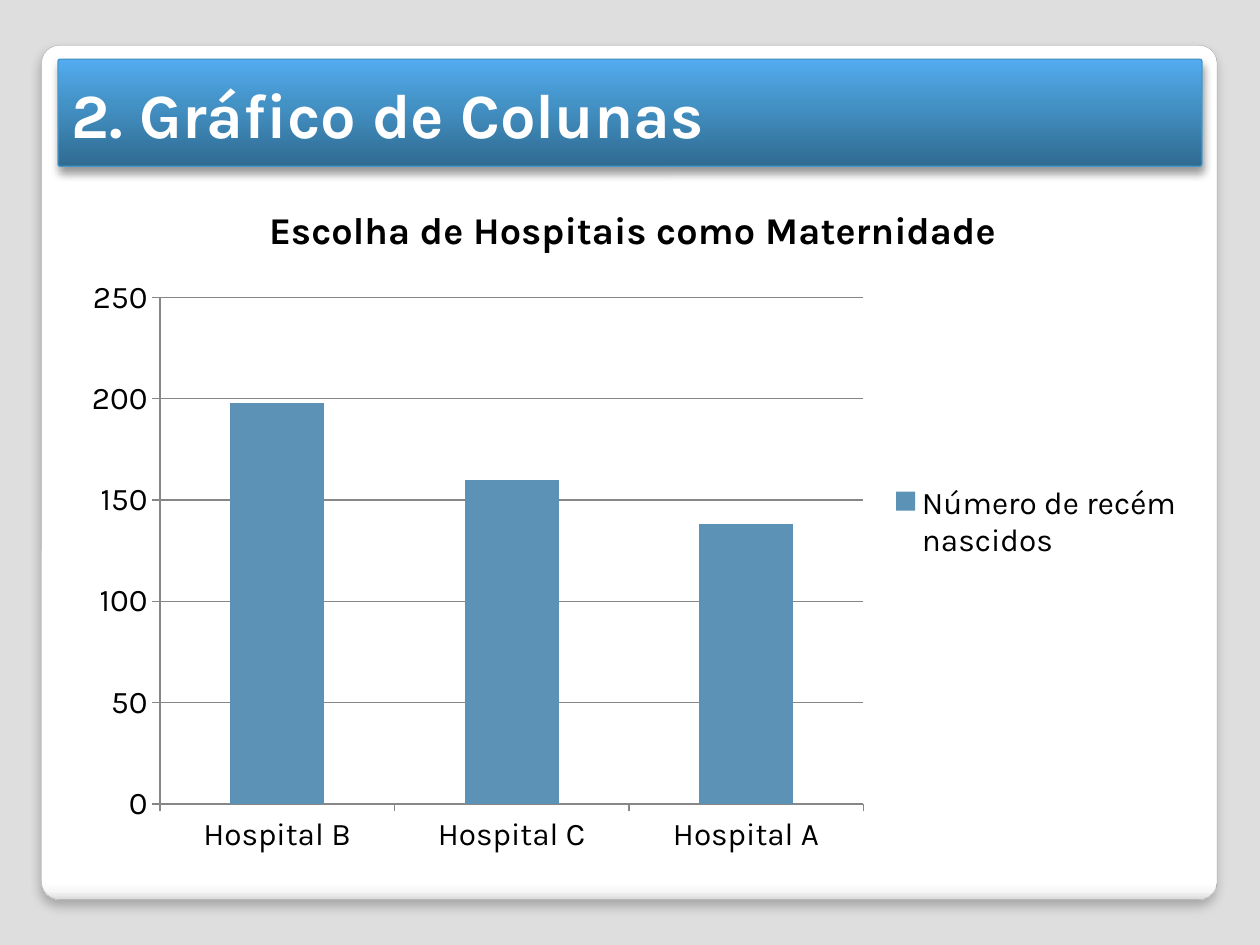
"""Build a slide with a banner title and a column chart of hospital births."""
from pptx import Presentation
from pptx.chart.data import CategoryChartData
from pptx.dml.color import RGBColor
from pptx.enum.chart import XL_CHART_TYPE, XL_LEGEND_POSITION, XL_TICK_MARK
from pptx.enum.shapes import MSO_SHAPE
from pptx.enum.text import MSO_ANCHOR, PP_ALIGN
from pptx.oxml import parse_xml
from pptx.oxml.ns import nsdecls, qn
from pptx.util import Inches, Pt

COLUMNS = XL_CHART_TYPE.COLUMN_CLUSTERED
RIGHT = XL_LEGEND_POSITION.RIGHT
OUT = XL_TICK_MARK.OUTSIDE
ROUND = MSO_SHAPE.ROUNDED_RECTANGLE
MIDDLE = MSO_ANCHOR.MIDDLE
LEFT = PP_ALIGN.LEFT
FACE = "Karla"
GRAY = "878787"


def rgb(code):
    return RGBColor.from_string(code)


def style(font, size, color, bold=False):
    font.name, font.size, font.bold = FACE, Pt(size), bold
    font.color.rgb = rgb(color)


deck = Presentation()
deck.slide_width, deck.slide_height = Inches(10), Inches(7.5)
slide = deck.slides.add_slide(deck.slide_layouts[5])
slide.background.fill.solid()
slide.background.fill.fore_color.rgb = rgb("DEDEDE")

title = slide.shapes.title
title.left, title.top, title.width, title.height = map(Inches, (0.47, 0.47, 9.06, 0.86))
frame = title.text_frame
frame.text = "2. Gráfico de Colunas"
frame.vertical_anchor = MIDDLE
frame.word_wrap = True
frame.paragraphs[0].alignment = LEFT
style(frame.paragraphs[0].runs[0].font, 36, "FFFFFF", True)

panels = [
    ((0.33, 0.36, 9.33, 6.78), 90, ("A4A4A4", 0.16), (25, 6, 4),
     [(0, "FFFFFF"), (98, "FFFFFF"), (99, "F7F7F7"), (100, "DADADA")]),
    ((0.46, 0.47, 9.08, 0.85), 270, ("4697CB", 0.75), (40, 5.2, 3),
     [(0, "306B91"), (60, "4493C7"), (100, "53ACF0")]),
]
for box, angle, (edge, width), (alpha, blur, drop), stops in panels:
    panel = slide.shapes.add_shape(ROUND, *map(Inches, box))
    panel.adjustments[0] = 0.021
    panel.line.color.rgb = rgb(edge)
    panel.line.width = Pt(width)
    marks = "".join(
        f'<a:gs pos="{spot * 1000}"><a:srgbClr val="{color}"/></a:gs>'
        for spot, color in stops)
    props = panel.element.spPr
    props.find(qn("a:prstGeom")).addnext(parse_xml(
        f'<a:gradFill {nsdecls("a")} rotWithShape="1"><a:gsLst>{marks}</a:gsLst>'
        f'<a:lin ang="{angle * 60000}" scaled="0"/></a:gradFill>'))
    props.append(parse_xml(
        f'<a:effectLst {nsdecls("a")}><a:outerShdw blurRad="{Pt(blur)}" '
        f'dist="{Pt(drop)}" dir="5400000" rotWithShape="0"><a:srgbClr val="000000">'
        f'<a:alpha val="{alpha * 1000}"/></a:srgbClr></a:outerShdw></a:effectLst>'))
    title.element.addprevious(panel.element)

data = CategoryChartData()
data.categories = ["Hospital B", "Hospital C", "Hospital A"]
data.add_series("Número de recém nascidos", (198, 160, 138))
place = map(Inches, (0.55, 1.41, 8.95, 5.47))
chart = slide.shapes.add_chart(COLUMNS, *place, data).chart
style(chart.font, 18, "000000")

chart.has_title = True
head = chart.chart_title.text_frame
head.text = "Escolha de Hospitais como Maternidade"
style(head.paragraphs[0].runs[0].font, 21.6, "000000", True)

chart.has_legend = True
chart.legend.position = RIGHT
chart.legend.include_in_layout = False

plot = chart.plots[0]
plot.gap_width = 150
plot.vary_by_categories = False
bars = plot.series[0].format.fill
bars.solid()
bars.fore_color.rgb = rgb("5C92B5")

scale = chart.value_axis
scale.minimum_scale, scale.maximum_scale, scale.major_unit = 0, 250, 50
scale.has_major_gridlines = True
for axis in (chart.category_axis, scale):
    axis.major_tick_mark = OUT
for part in (chart.category_axis, scale, scale.major_gridlines):
    part.format.line.color.rgb = rgb(GRAY)
    part.format.line.width = Pt(0.75)

deck.save("out.pptx")
